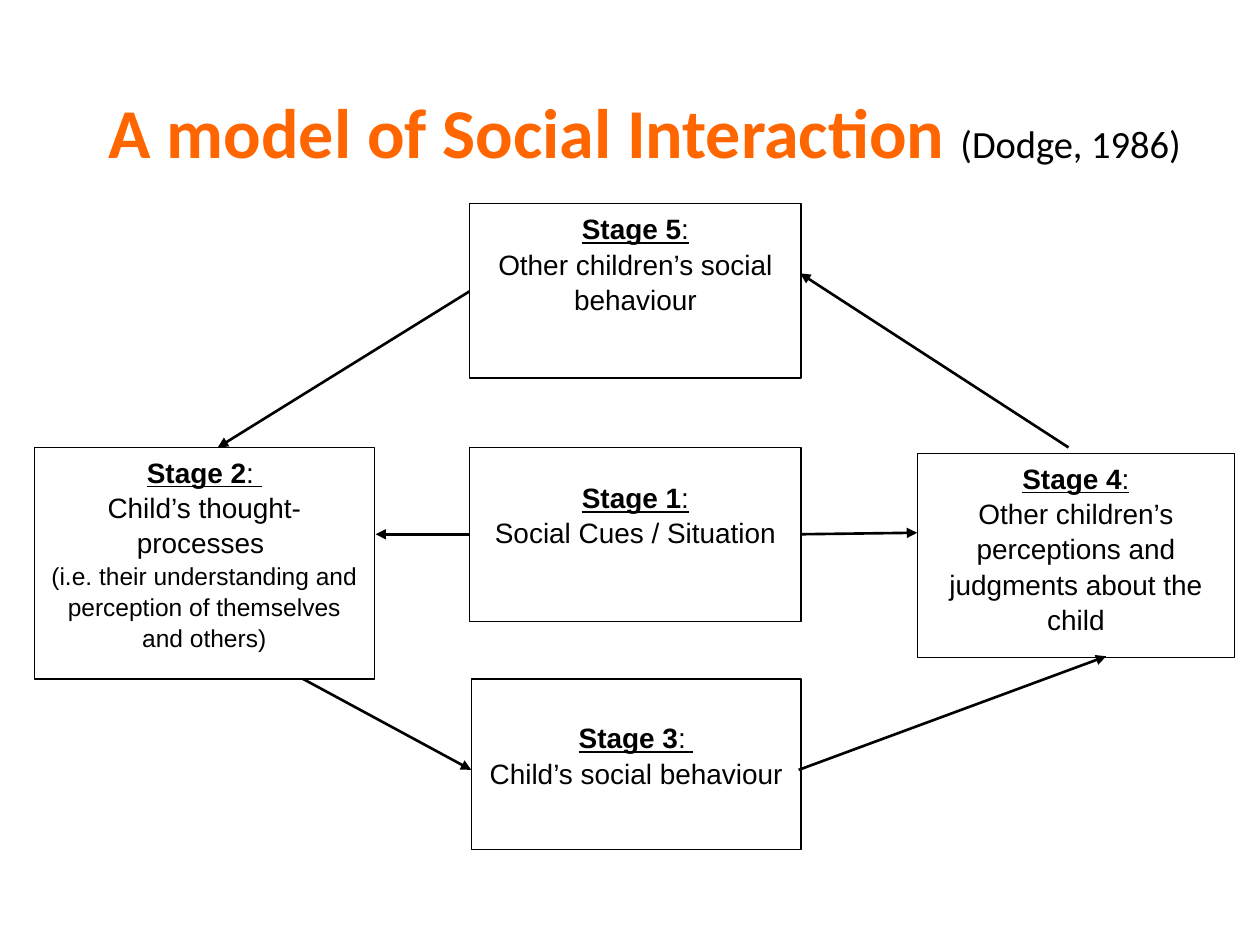
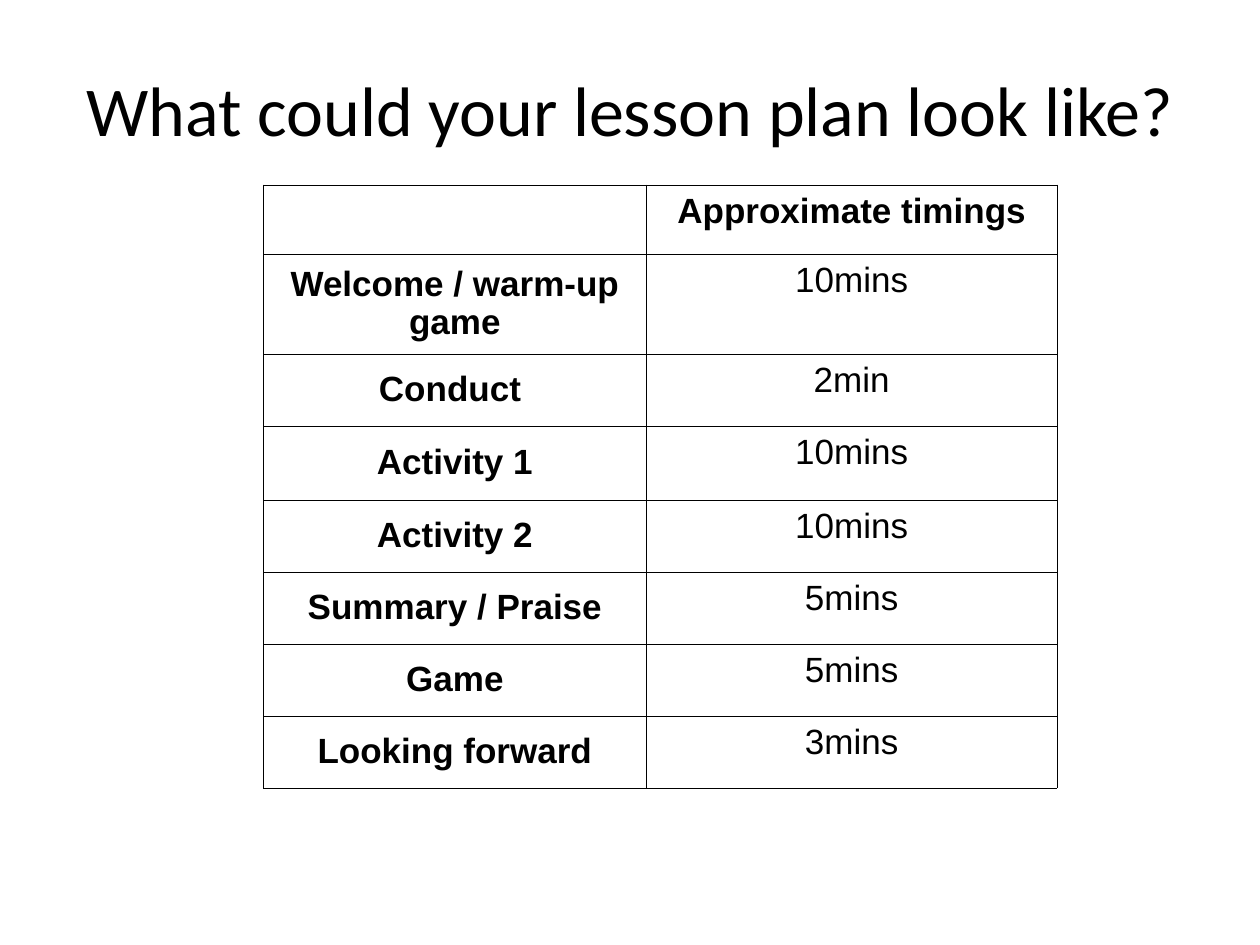
from lxml import etree
from pptx import Presentation
from pptx.dml.color import RGBColor
from pptx.enum.shapes import MSO_CONNECTOR, MSO_SHAPE
from pptx.enum.text import MSO_ANCHOR as ANCHOR, PP_ALIGN as ALIGN
from pptx.oxml.ns import qn
from pptx.util import Cm, Pt

BLACK, WHITE, ORANGE = "000000", "FFFFFF", "FF6600"
BODY, HEADING = "Arial", "Calibri"
INSET_X, INSET_Y = 0.25, 0.13


def rgb(value):
    return RGBColor.from_string(value)


class Deck:
    def __init__(self):
        self.prs = Presentation()
        self.prs.slide_width, self.prs.slide_height = Cm(25.4), Cm(19.05)
        self.s = None

    def slide(self):
        self.s = self.prs.slides.add_slide(self.prs.slide_layouts[6])

    def style(self, r, size, name=BODY, color=BLACK, bold=False, underline=False):
        f = r.font
        f.size, f.name, f.bold, f.underline = Pt(size), name, bold, underline
        f.color.rgb = rgb(color)

    def run(self, p, text, size, **style):
        r = p.add_run()
        r.text = text
        self.style(r, size, **style)

    def title(self, box, parts):
        tf = self.s.shapes.add_textbox(*map(Cm, box)).text_frame
        tf.word_wrap = True
        tf.vertical_anchor = ANCHOR.MIDDLE
        tf.margin_left = tf.margin_right = 0
        p = tf.paragraphs[0]
        p.alignment = ALIGN.CENTER
        for text, size, color, bold in parts:
            self.run(p, text, size, name=HEADING, color=color, bold=bold)

    def stage(self, box, name, colon, lines, drop=0):
        sp = self.s.shapes.add_shape(MSO_SHAPE.RECTANGLE, *map(Cm, box))
        sp.shadow.inherit = False
        sp.fill.solid()
        sp.fill.fore_color.rgb = rgb(WHITE)
        sp.line.color.rgb = rgb(BLACK)
        sp.line.width = Pt(0.75)
        tf = sp.text_frame
        tf.word_wrap = True
        tf.vertical_anchor = ANCHOR.TOP
        tf.margin_left = tf.margin_right = Cm(INSET_X)
        tf.margin_top, tf.margin_bottom = Cm(INSET_Y + drop), Cm(INSET_Y)
        p = tf.paragraphs[0]
        self.run(p, name, 16, bold=True, underline=True)
        self.run(p, colon, 16, underline=True)
        for text, size in lines:
            self.run(tf.add_paragraph(), text, size)
        for p in tf.paragraphs:
            p.alignment = ALIGN.CENTER
            p.line_spacing = 1.05

    def arrow(self, x1, y1, x2, y2):
        c = self.s.shapes.add_connector(MSO_CONNECTOR.STRAIGHT, *map(Cm, (x1, y1, x2, y2)))
        c.line.color.rgb = rgb(BLACK)
        c.line.width = Pt(1.5)
        etree.SubElement(c.line._get_or_add_ln(), qn("a:tailEnd"), type="triangle")
        etree.SubElement(c._element.spPr, qn("a:effectLst"))

    def borders(self, cell):
        tc_pr = cell._tc.get_or_add_tcPr()
        for i, side in enumerate("LRTB"):
            ln = etree.Element(qn(f"a:ln{side}"), w=str(Pt(0.45)))
            fill = etree.SubElement(ln, qn("a:solidFill"))
            etree.SubElement(fill, qn("a:srgbClr"), val=BLACK)
            tc_pr.insert(i, ln)

    def table(self, left, top, widths, heights, rows):
        box = map(Cm, (left, top, sum(widths), sum(heights)))
        t = self.s.shapes.add_table(len(rows), len(widths), *box).table
        t.first_row = t.horz_banding = False
        for col, width in zip(t.columns, widths):
            col.width = Cm(width)
        for row, height in zip(t.rows, heights):
            row.height = Cm(height)
        for i, row in enumerate(rows):
            for j, text in enumerate(row):
                cell = t.cell(i, j)
                cell.fill.background()
                self.borders(cell)
                cell.margin_left = cell.margin_right = Cm(INSET_X)
                cell.margin_top = cell.margin_bottom = Cm(INSET_Y)
                cell.vertical_anchor = ANCHOR.TOP if j else ANCHOR.MIDDLE
                cell.text_frame.text = text
                p = cell.text_frame.paragraphs[0]
                p.alignment = ALIGN.CENTER
                p.line_spacing = 0.97 if j == 0 else 1.0
                for r in p.runs:
                    self.style(r, 20, bold=i == 0 or j == 0)


def social_model(deck):
    deck.slide()
    deck.title((1.9, 1.52, 22.2, 2.21), [
        ("A model of Social Interaction ", 40, ORANGE, True),
        ("(Dodge, 1986)", 22, BLACK, False)])
    deck.arrow(5.69, 13.46, 9.5, 15.52)
    deck.arrow(9.47, 5.87, 4.39, 9.02)
    deck.stage((9.47, 9.02, 6.68, 3.51), "Stage 1", ":",
               [("Social Cues / Situation", 16)], drop=0.51)
    deck.stage((9.47, 4.11, 6.68, 3.51), "Stage 5", ":",
               [("Other children’s social behaviour", 16)])
    deck.stage((18.49, 9.14, 6.4, 4.11), "Stage 4", ":",
               [("Other children’s perceptions and judgments about the child", 16)])
    deck.stage((9.5, 13.69, 6.65, 3.43), "Stage 3", ": ",
               [("Child’s social behaviour", 16)], drop=0.68)
    deck.stage((0.69, 9.02, 6.86, 4.67), "Stage 2", ": ", [
        ("Child’s thought-processes ", 16),
        ("(i.e. their understanding and perception of themselves and others)", 14)])
    deck.arrow(21.54, 9.02, 16.13, 5.51)
    deck.arrow(16.1, 15.52, 22.3, 13.23)
    deck.arrow(16.13, 10.77, 18.49, 10.74)
    deck.arrow(9.47, 10.77, 7.57, 10.77)


def lesson_plan(deck):
    deck.slide()
    deck.title((0, 0.91, 25.4, 2.57), [
        ("What could your lesson plan look like?", 40, BLACK, False)])
    deck.table(5.31, 3.73, (7.72, 8.28), [1.4, 2.01, 1.45, 1.5] + [1.45] * 4, [
        ("", "Approximate timings"),
        ("Welcome / warm-up game", "10mins"),
        ("Conduct ", "2min"),
        ("Activity 1", "10mins"),
        ("Activity 2", "10mins"),
        ("Summary / Praise", "5mins"),
        ("Game", "5mins"),
        ("Looking forward", "3mins")])


def main():
    deck = Deck()
    social_model(deck)
    lesson_plan(deck)
    deck.prs.save("out.pptx")


if __name__ == "__main__":
    main()
